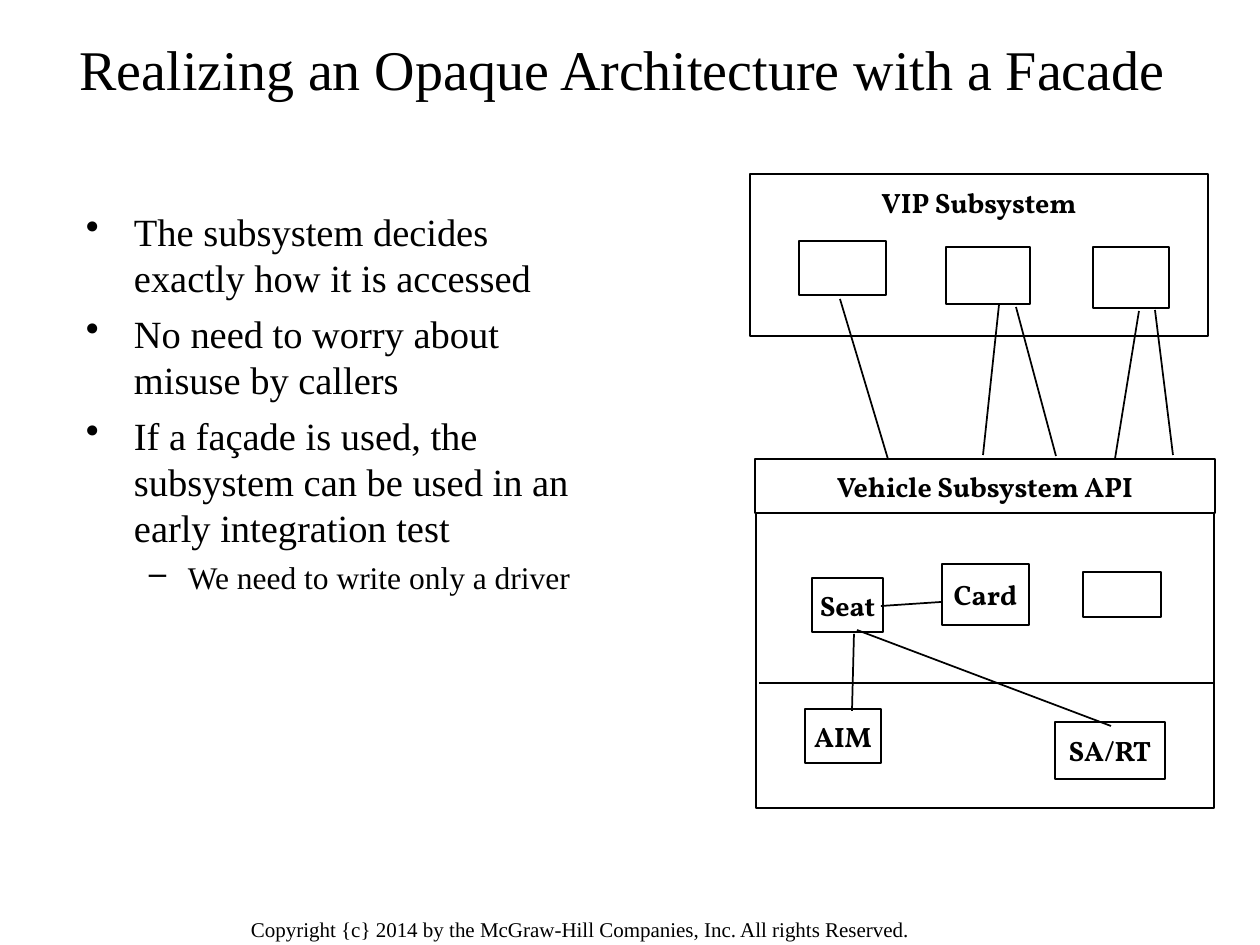
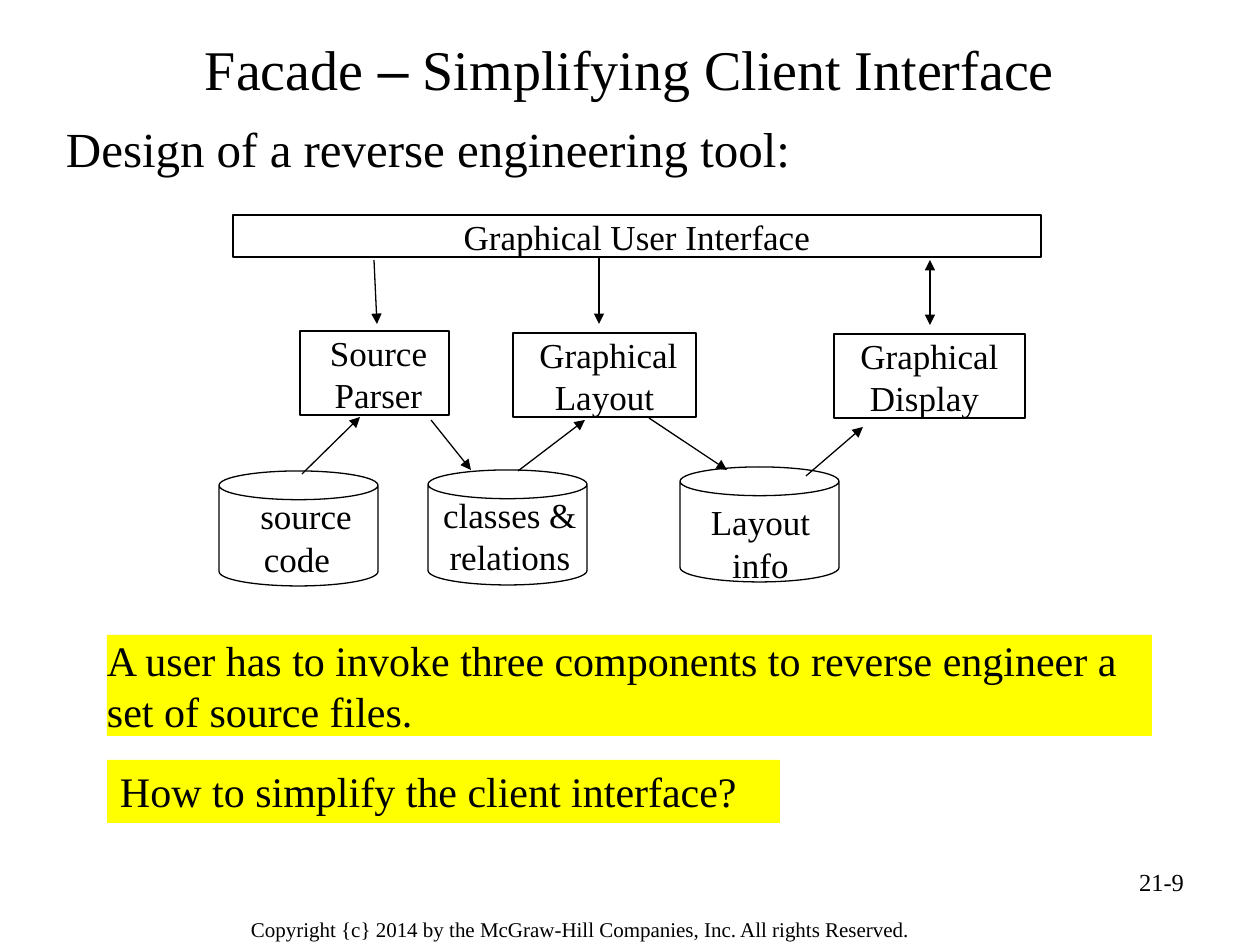
"""Builds two slides on the facade pattern."""
import pptx
import pptx.util
import pptx.dml.color
import pptx.enum.shapes
import pptx.enum.text
import pptx.oxml.ns
from lxml import etree

SHAPES = pptx.enum.shapes.MSO_SHAPE
ALIGN = pptx.enum.text.PP_ALIGN
ANCHOR = pptx.enum.text.MSO_ANCHOR

EMU_PER_PX = 914400 / 126
SLIDE_SIZE = (1260, 945)
BLACK, WHITE, YELLOW = "000000", "FFFFFF", "FFFF00"
SERIF, SANS, LABEL_FONT = "Times New Roman", "Arial", "Vollkorn"
WIDE_INSETS = (13, 6, 13, 6)

TITLE_BOX = (63, 21, 1134, 95)
FOOTER_BOX = (237, 910, 780, 39)
FOOTER = "Copyright {c} 2014 by the McGraw-Hill Companies, Inc. All rights Reserved."

OPAQUE_TITLE = [("Realizing an Opaque Architecture with a Facade", SERIF)]
BULLETS_BOX = (73, 202, 540, 611)
BULLETS = [
    (0, "The subsystem decides exactly how it is accessed"),
    (0, "No need to worry about misuse by callers"),
    (0, "If a façade is used, the subsystem can be used in an early integration test"),
    (1, "We need to write only a driver"),
]
BULLET_LEVELS = [
    dict(mark="•", left=48, hanging=48, size=22, before=5.5),
    dict(mark="–", left=102, hanging=39, size=18, before=4.5),
]
VIP_BOX = (750, 174, 458, 162)
VIP_NAME = "VIP Subsystem"
VEHICLE_BOXES = [
    ("", (756, 512, 458, 296)),
    ("AIM", (805, 709, 76, 54)),
    ("Card", (942, 564, 87, 61)),
    ("", (1083, 572, 78, 45)),
    ("SA/RT", (1055, 722, 110, 57)),
    ("Seat", (812, 578, 71, 54)),
    ("", (799, 241, 87, 54)),
    ("", (946, 247, 84, 57)),
    ("", (1093, 247, 76, 61)),
    ("Vehicle Subsystem API", (755, 459, 460, 54)),
]
VEHICLE_LINES = [
    (840, 299, 888, 459),
    (999, 305, 983, 455),
    (1139, 311, 1115, 459),
    (1155, 310, 1173, 455),
    (1016, 307, 1056, 456),
    (759, 683, 1214, 683),
    (854, 634, 852, 711),
    (857, 630, 1111, 726),
    (881, 606, 941, 602),
]

CLIENT_TITLE = [("Facade ", SERIF), ("–", SANS), (" Simplifying Client Interface", SERIF)]
SUBTITLE_BOX = (53, 112, 764, 72)
SUBTITLE = "Design of a reverse engineering tool:"
COMPONENTS = [
    ((300, 331, 149, 84), [("Source", 4), ("Parser", 4)]),
    ((513, 333, 183, 84), [("Graphical", 4), ("Layout", 0)]),
    ((834, 334, 191, 84), [("Graphical", 0), ("Display", -5)]),
    ((233, 215, 808, 42), [("Graphical User Interface", 0)]),
]
STORE_SIZE = (159, 115)
STORES = [
    ((428, 470), (440, 494, 140, 84), [("classes &", 0), ("relations", 0)]),
    ((680, 467), (701, 501, 119, 84), [("Layout", 0), ("info", 0)]),
    ((219, 471), (243, 495, 118, 84), [("source", 4), ("code", -5)]),
]
ARROWS = [
    (431, 420, 471, 470),
    (518, 471, 585, 420),
    (649, 418, 727, 470),
    (806, 476, 863, 427),
    (302, 474, 360, 417),
    (374, 260, 377, 324),
    (599, 258, 599, 324),
]
DOUBLE_ARROW = (930, 260, 930, 325)
NOTES = [
    ("A user has to invoke three components to reverse engineer a set of source files.",
     (107, 635, 1045, 101), (0, 0, 0, 0)),
    ("How to simplify the client interface?", (107, 760, 673, 63), WIDE_INSETS),
]
NUMBER_BOX = (903, 861, 294, 66)
NUMBER = "21-9"


def px(length):
    return round(length * EMU_PER_PX)


def color(value):
    return pptx.dml.color.RGBColor.from_string(value)


def add_run(paragraph, text, size, font=SERIF, bold=False):
    run = paragraph.add_run()
    run.text = text
    run.font.size = pptx.util.Pt(size)
    run.font.name = font
    run.font.bold = bold
    run.font.color.rgb = color(BLACK)


def set_frame(shape, insets, anchor=ANCHOR.TOP, wrap=True):
    frame = shape.text_frame
    frame.margin_left, frame.margin_top, frame.margin_right, frame.margin_bottom = map(px, insets)
    frame.vertical_anchor = anchor
    frame.word_wrap = wrap
    return frame


def paragraphs_for(frame, items):
    for index, item in enumerate(items):
        paragraph = frame.add_paragraph() if index else frame.paragraphs[0]
        yield index, paragraph, item


def add_text(slide, box, text, size, insets=WIDE_INSETS, align=ALIGN.LEFT):
    shape = slide.shapes.add_textbox(*map(px, box))
    paragraph = set_frame(shape, insets).paragraphs[0]
    paragraph.alignment = align
    add_run(paragraph, text, size)


def add_box(slide, box, fill=None, line=None, kind=SHAPES.RECTANGLE):
    shape = slide.shapes.add_shape(kind, *map(px, box))
    shape.shadow.inherit = False
    if fill:
        shape.fill.solid()
        shape.fill.fore_color.rgb = color(fill)
    else:
        shape.fill.background()
    if line:
        shape.line.color.rgb = color(BLACK)
        shape.line.width = pptx.util.Pt(line)
    else:
        shape.line.fill.background()
    return shape


def add_line(slide, ends, width, heads=()):
    connector = slide.shapes.add_connector(
        pptx.enum.shapes.MSO_CONNECTOR.STRAIGHT, *map(px, ends))
    connector.line.color.rgb = color(BLACK)
    connector.line.width = pptx.util.Pt(width)
    for head in heads:
        etree.SubElement(connector.line._get_or_add_ln(), pptx.oxml.ns.qn("a:" + head),
                         type="triangle")
    etree.SubElement(connector._element.spPr, pptx.oxml.ns.qn("a:effectLst"))


def add_slide(presentation, title, title_nudge):
    slide = presentation.slides.add_slide(presentation.slide_layouts[6])
    add_text(slide, FOOTER_BOX, FOOTER, 12, (14, 7, 14, 7))
    shape = slide.shapes.add_textbox(*map(px, TITLE_BOX))
    frame = set_frame(shape, (13, 6, 13 + title_nudge, 6), ANCHOR.MIDDLE)
    paragraph = frame.paragraphs[0]
    paragraph.alignment = ALIGN.CENTER
    for text, font in title:
        add_run(paragraph, text, 32, font)
    return slide


def add_bullets(slide):
    frame = set_frame(slide.shapes.add_textbox(*map(px, BULLETS_BOX)), WIDE_INSETS)
    for index, paragraph, (level, text) in paragraphs_for(frame, BULLETS):
        style = BULLET_LEVELS[level]
        properties = paragraph._p.get_or_add_pPr()
        properties.set("marL", str(px(style["left"])))
        properties.set("indent", str(-px(style["hanging"])))
        etree.SubElement(properties, pptx.oxml.ns.qn("a:buChar"), char=style["mark"])
        if index:
            paragraph.space_before = pptx.util.Pt(style["before"])
        add_run(paragraph, text, style["size"])


def add_subsystem_box(slide, box, name, top=None):
    shape = add_box(slide, box, WHITE, 1)
    if name:
        anchor = ANCHOR.MIDDLE if top is None else ANCHOR.TOP
        frame = set_frame(shape, (11, top or 5, 11, 5), anchor, wrap=False)
        frame.paragraphs[0].alignment = ALIGN.CENTER
        add_run(frame.paragraphs[0], name, 16, LABEL_FONT, True)


def add_label(shape, lines):
    frame = set_frame(shape, (0, 0, 0, 0))
    for _, paragraph, (text, shift) in paragraphs_for(frame, lines):
        paragraph.alignment = ALIGN.CENTER
        if shift:
            side = "marL" if shift > 0 else "marR"
            paragraph._p.get_or_add_pPr().set(side, str(px(2 * abs(shift))))
        add_run(paragraph, text, 20)


def build_opaque_slide(presentation):
    slide = add_slide(presentation, OPAQUE_TITLE, 14)
    add_bullets(slide)
    add_subsystem_box(slide, VIP_BOX, VIP_NAME, top=12)
    for name, box in VEHICLE_BOXES:
        add_subsystem_box(slide, box, name)
    for ends in VEHICLE_LINES:
        add_line(slide, ends, 1)


def build_client_slide(presentation):
    slide = add_slide(presentation, CLIENT_TITLE, 0)
    add_text(slide, NUMBER_BOX, NUMBER, 14, align=ALIGN.RIGHT)
    for box, lines in COMPONENTS:
        add_label(add_box(slide, box, line=0.75), lines)
    for corner, label_box, lines in STORES:
        add_box(slide, corner + STORE_SIZE, line=0.75, kind=SHAPES.CAN)
        add_label(slide.shapes.add_textbox(*map(px, label_box)), lines)
    for ends in ARROWS:
        add_line(slide, ends, 0.75, ["tailEnd"])
    add_line(slide, DOUBLE_ARROW, 0.75, ["headEnd", "tailEnd"])
    add_text(slide, SUBTITLE_BOX, SUBTITLE, 28)
    for text, box, insets in NOTES:
        frame = set_frame(add_box(slide, box, YELLOW), insets)
        frame.paragraphs[0].alignment = ALIGN.LEFT
        add_run(frame.paragraphs[0], text, 24)


def main():
    presentation = pptx.Presentation()
    presentation.slide_width, presentation.slide_height = map(px, SLIDE_SIZE)
    build_opaque_slide(presentation)
    build_client_slide(presentation)
    presentation.save("out.pptx")


if __name__ == "__main__":
    main()
